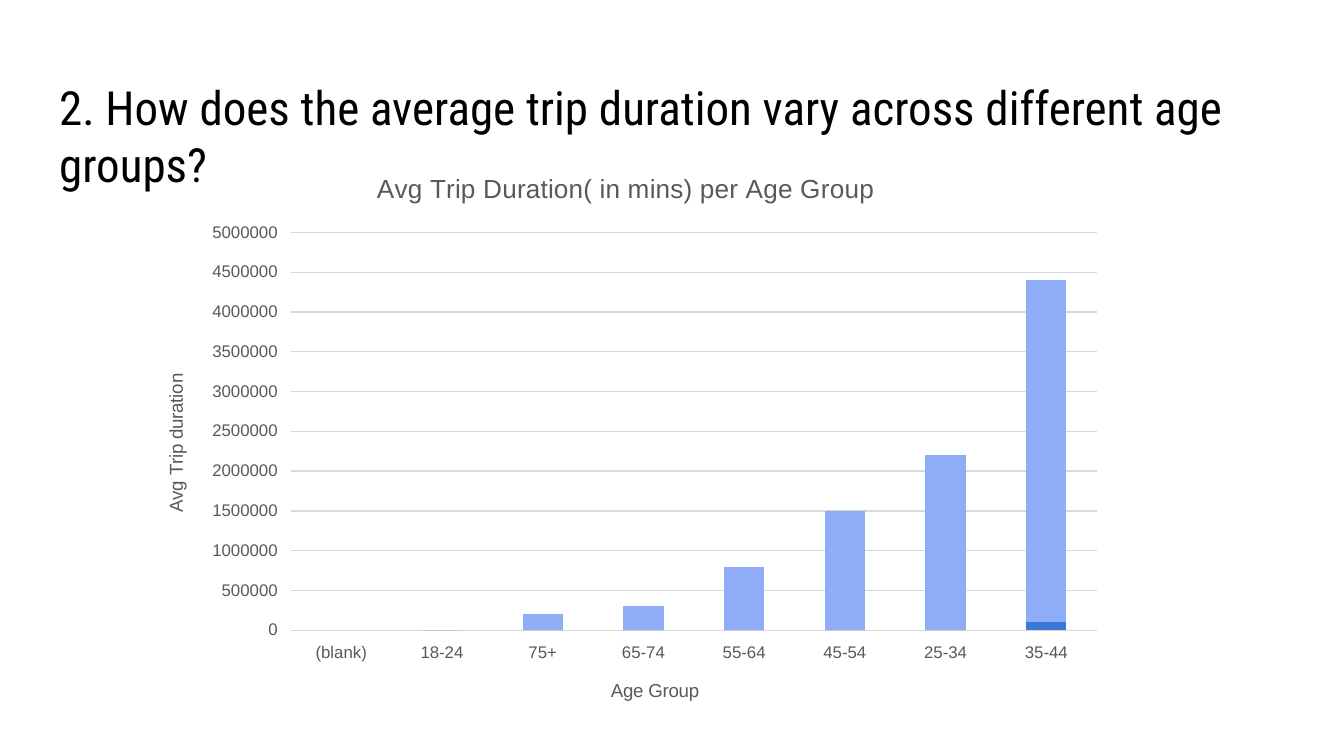
import pptx
import pptx.chart.data
import pptx.dml.color
import pptx.enum.chart
import pptx.enum.text
import pptx.oxml
import pptx.oxml.ns
import pptx.util

Pt = pptx.util.Pt
RGBColor = pptx.dml.color.RGBColor
qn = pptx.oxml.ns.qn

BLACK = RGBColor(0x00, 0x00, 0x00)
GRAY = RGBColor(0x59, 0x59, 0x59)
GRID = RGBColor(0xD9, 0xD9, 0xD9)
DARK_BLUE = RGBColor(0x3B, 0x76, 0xD9)
LIGHT_BLUE = RGBColor(0x8F, 0xAC, 0xF7)

TITLE_BOX = (24.5, 35, 671, 45.4)
CHART_BOX = (73.4, 79.9, 525.2, 310.3)

AGE_GROUPS = ["(blank)", "18-24", "75+", "65-74", "55-64", "45-54", "25-34", "35-44"]
SERIES = [
    ("Series 1", DARK_BLUE, [None, 0, 0, 0, 0, 0, 0, 100000]),
    ("Series 2", LIGHT_BLUE,
     [None, 0, 200000, 300000, 800000, 1500000, 2200000, 4300000]),
]


def format_font(font, name, size, color):
    """Set a regular-weight font."""
    font.name = name
    font.size = Pt(size)
    font.bold = False
    font.color.rgb = color


def set_layout(element, **fractions):
    """Give a chart title or plot area a manual layout in chart fractions."""
    layout = element.find(qn("c:layout"))
    if layout is not None:
        element.remove(layout)
    target = '<c:layoutTarget val="inner"/>' if "w" in fractions else ""
    modes = "".join(f'<c:{key}Mode val="edge"/>' for key in ("x", "y"))
    values = "".join(f'<c:{key} val="{value}"/>' for key, value in fractions.items())
    layout = pptx.oxml.parse_xml(
        f"<c:layout {pptx.oxml.ns.nsdecls('c')}><c:manualLayout>"
        f"{target}{modes}{values}</c:manualLayout></c:layout>"
    )
    text = element.find(qn("c:tx"))
    if text is None:
        element.insert(0, layout)
    else:
        text.addnext(layout)


def set_chart_text(title, text, size, x, y):
    """Write, format and place a chart or axis title."""
    title.text_frame.text = text
    for run in title.text_frame.paragraphs[0].runs:
        format_font(run.font, "Arial", size, GRAY)
    set_layout(title.element, x=x, y=y)


def add_title(slide, box):
    """Place the question in the title placeholder."""
    title = slide.shapes.title
    title.left, title.top, title.width, title.height = map(Pt, box)
    frame = title.text_frame
    frame.text = "2. How does the average trip duration vary across different age groups?"
    frame.word_wrap = True
    frame.auto_size = pptx.enum.text.MSO_AUTO_SIZE.NONE
    frame.vertical_anchor = pptx.enum.text.MSO_ANCHOR.TOP
    frame.margin_left = frame.margin_right = Pt(7.2)
    frame.margin_top = frame.margin_bottom = Pt(7.2)
    paragraph = frame.paragraphs[0]
    paragraph.alignment = pptx.enum.text.PP_ALIGN.LEFT
    format_font(paragraph.runs[0].font, "Roboto Condensed", 25.2, BLACK)


def add_duration_chart(slide, box):
    """Place the stacked columns of trip duration by age group."""
    data = pptx.chart.data.CategoryChartData(number_format="General")
    data.categories = AGE_GROUPS
    for name, _, values in SERIES:
        data.add_series(name, values)
    chart = slide.shapes.add_chart(
        pptx.enum.chart.XL_CHART_TYPE.COLUMN_STACKED, *map(Pt, box), data
    ).chart
    format_font(chart.font, "Arial", 10, BLACK)
    chart.has_legend = False
    chart.has_title = True
    set_chart_text(chart.chart_title, "Avg Trip Duration( in mins) per Age Group",
                   14, 0.24, 0.03)

    plot = chart.plots[0]
    plot.gap_width = 150
    plot.overlap = 100
    plot.vary_by_categories = False
    for series, (_, color, _) in zip(plot.series, SERIES):
        series.format.fill.solid()
        series.format.fill.fore_color.rgb = color

    for axis, text, x, y in (
        (chart.category_axis, "Age Group", 0.48, 0.908),
        (chart.value_axis, "Avg Trip duration", 0.024, 0.382),
    ):
        axis.has_title = True
        set_chart_text(axis.axis_title, text, 10, x, y)
        format_font(axis.tick_labels.font, "Arial", 9, GRAY)
        axis.format.line.fill.background()
    value_axis = chart.value_axis
    value_axis.minimum_scale = 0
    value_axis.maximum_scale = 5000000
    value_axis.major_unit = 500000
    value_axis.has_major_gridlines = True
    value_axis.major_gridlines.format.line.color.rgb = GRID
    value_axis.major_gridlines.format.line.width = Pt(0.75)
    plot_area = chart.element.find(f".//{qn('c:plotArea')}")
    set_layout(plot_area, x=0.157, y=0.144, w=0.822, h=0.687)


def main():
    """Build and save the presentation."""
    presentation = pptx.Presentation()
    presentation.slide_width = Pt(720)
    presentation.slide_height = Pt(405)
    slide = presentation.slides.add_slide(presentation.slide_layouts[5])
    add_title(slide, TITLE_BOX)
    add_duration_chart(slide, CHART_BOX)
    presentation.save("out.pptx")


if __name__ == "__main__":
    main()
